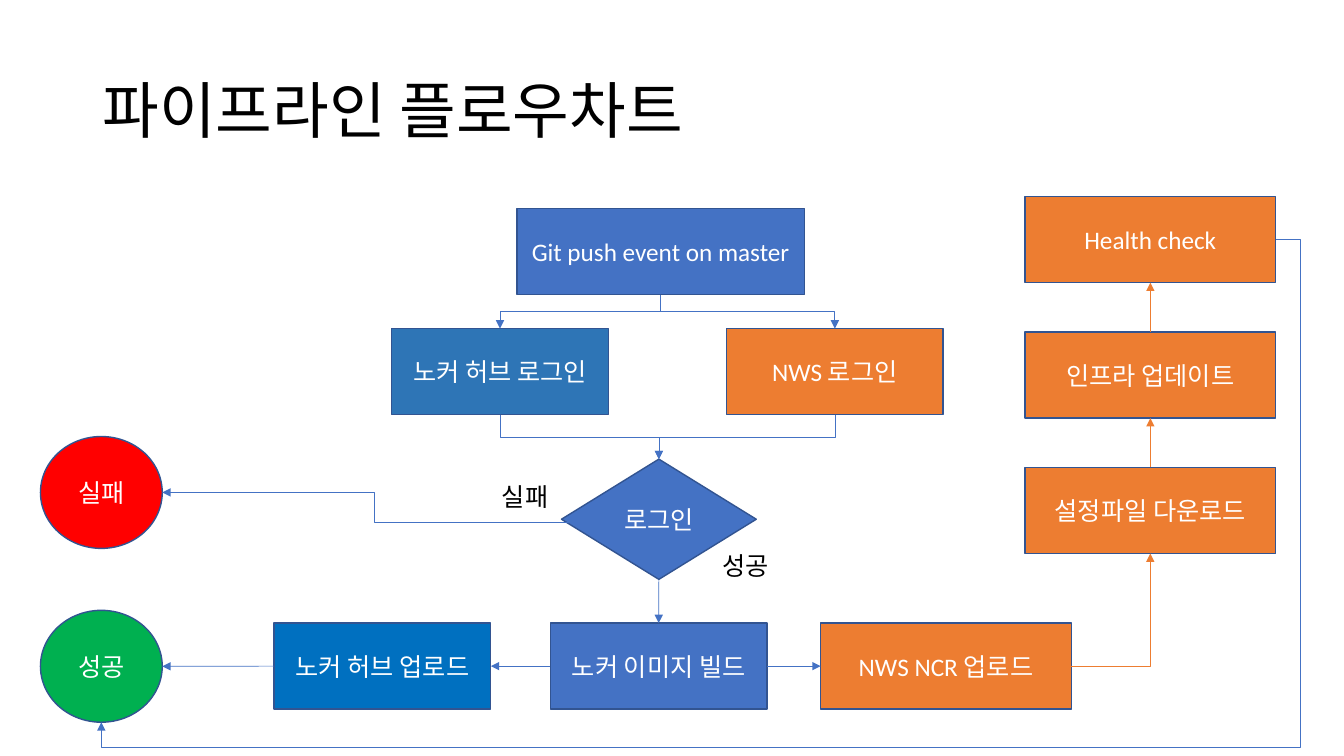
from lxml import etree
from pptx import Presentation
from pptx.dml.color import RGBColor
from pptx.enum.shapes import MSO_CONNECTOR, MSO_SHAPE
from pptx.enum.text import MSO_ANCHOR, PP_ALIGN
from pptx.oxml.ns import qn
from pptx.util import Cm, Pt

FONT = "Calibri"
BLACK = RGBColor(0x00, 0x00, 0x00)
WHITE = RGBColor(0xFF, 0xFF, 0xFF)
BLUE = RGBColor(0x44, 0x72, 0xC4)
STEEL = RGBColor(0x2E, 0x75, 0xB6)
AZURE = RGBColor(0x00, 0x70, 0xC0)
NAVY = RGBColor(0x32, 0x54, 0x91)
ORANGE = RGBColor(0xED, 0x7D, 0x31)
RED = RGBColor(0xFF, 0x00, 0x00)
GREEN = RGBColor(0x00, 0xB0, 0x50)

RECT, OVAL = MSO_SHAPE.RECTANGLE, MSO_SHAPE.OVAL
DECISION = MSO_SHAPE.FLOWCHART_DECISION
STRAIGHT, ELBOW = MSO_CONNECTOR.STRAIGHT, MSO_CONNECTOR.ELBOW
LEFT, CENTER, MIDDLE = PP_ALIGN.LEFT, PP_ALIGN.CENTER, MSO_ANCHOR.MIDDLE

STEP_H, NARROW_W, WIDE_W = 2.17, 5.46, 6.32
SIDES = {"top": (0.5, 0), "left": (0, 0.5), "bottom": (0.5, 1), "right": (1, 0.5)}


def format_text(p, size, color, align=LEFT):
    """Set the font and alignment of one paragraph."""
    p.alignment = align
    p.font.name, p.font.size, p.font.color.rgb = FONT, Pt(size), color


def add_node(slide, kind, text, fill, left, top, width, height=STEP_H):
    """Add one flowchart node with centred white text."""
    sp = slide.shapes.add_shape(kind, Cm(left), Cm(top), Cm(width), Cm(height))
    sp.shadow.inherit = False
    sp.fill.solid()
    sp.fill.fore_color.rgb = fill
    sp.line.color.rgb = NAVY
    sp.line.width = Pt(1)
    tf = sp.text_frame
    tf.word_wrap = True
    tf.vertical_anchor = MIDDLE
    tf.text = text
    format_text(tf.paragraphs[0], 18, WHITE, CENTER)
    return sp


def add_label(slide, text, left, top):
    """Add the caption of a decision branch."""
    sp = slide.shapes.add_textbox(Cm(left), Cm(top), Cm(3.07), Cm(1.02))
    tf = sp.text_frame
    tf.word_wrap = True
    tf.text = text
    format_text(tf.paragraphs[0], 18, BLACK)


def site(sp, side):
    """Return the point in the middle of one side of a shape."""
    fx, fy = SIDES[side]
    return int(sp.left + sp.width * fx), int(sp.top + sp.height * fy)


def site_index(sp, side):
    """Return the connection site number of one side of a shape."""
    index = list(SIDES).index(side)
    return index * 2 if sp.auto_shape_type == OVAL else index


def draw_arrow(slide, kind, begin, end, color=BLUE):
    """Draw a thin arrow between two points."""
    cxn = slide.shapes.add_connector(kind, *begin, *end)
    cxn.line.color.rgb = color
    cxn.line.width = Pt(0.5)
    sp_pr = cxn._element.spPr
    etree.SubElement(sp_pr.find(qn("a:ln")), qn("a:tailEnd"), type="triangle")
    etree.SubElement(sp_pr, qn("a:effectLst"))
    return cxn


def glue(cxn, source, out_side, target, in_side):
    """Attach both ends of a connector to its shapes."""
    cxn._connect_begin_to(source, site_index(source, out_side))
    cxn._connect_end_to(target, site_index(target, in_side))


def link(slide, source, out_side, target, in_side, color=BLUE):
    """Join two aligned nodes with a straight arrow."""
    cxn = draw_arrow(slide, STRAIGHT, site(source, out_side), site(target, in_side), color)
    glue(cxn, source, out_side, target, in_side)


def link_down(slide, source, target):
    """Join a node to a lower one with a down-across-down arrow."""
    (x1, y1), (x2, y2) = site(source, "bottom"), site(target, "top")
    cx, cy, dx, dy = (x1 + x2) // 2, (y1 + y2) // 2, (x2 - x1) // 2, (y2 - y1) // 2
    cxn = draw_arrow(slide, ELBOW, (cx - dy, cy + dx), (cx + dy, cy - dx))
    cxn._element.spPr.find(qn("a:xfrm")).set("rot", "5400000")
    glue(cxn, source, "bottom", target, "top")


def link_around(slide, source, target, preset, color=BLUE, adjusts=()):
    """Join a right side to a bottom side with a preset bent arrow."""
    cxn = draw_arrow(slide, ELBOW, site(source, "right"), site(target, "bottom"), color)
    geom = cxn._element.spPr.find(qn("a:prstGeom"))
    geom.set("prst", preset)
    av_lst = geom.find(qn("a:avLst"))
    for i, value in enumerate(adjusts, 1):
        etree.SubElement(av_lst, qn("a:gd"), name=f"adj{i}", fmla=f"val {value}")
    glue(cxn, source, "right", target, "bottom")


def add_title(slide, text, left, top, width, height):
    """Place and format the title placeholder."""
    sp = slide.shapes.title
    sp.left, sp.top, sp.width, sp.height = Cm(left), Cm(top), Cm(width), Cm(height)
    tf = sp.text_frame
    tf.text = text
    tf.vertical_anchor = MIDDLE
    tf.paragraphs[0].line_spacing = 0.9
    format_text(tf.paragraphs[0], 44, BLACK)


def add_login(slide, left, top, width):
    """Build the trigger, both logins and the decision, and return the decision."""
    push = add_node(slide, RECT, "Git push event on master", BLUE, left + 3.16, top, 7.24)
    check = add_node(slide, DECISION, "로그인", BLUE, left + 4.28, top + 6.31, 4.91, 3.03)
    logins = (("노커 허브 로그인", STEEL, left),
              ("NWS 로그인", ORANGE, left + width - NARROW_W))
    for text, fill, x in logins:
        login = add_node(slide, RECT, text, fill, x, top + 3.02, NARROW_W)
        link_down(slide, push, login)
        link_down(slide, login, check)
    add_label(slide, "실패", left + 2.53, top + 6.75)
    add_label(slide, "성공", left + 8.09, top + 8.48)
    return check


def add_build_row(slide, left, top, width):
    """Build the image row and return its hub, build and registry steps."""
    hub = add_node(slide, RECT, "노커 허브 업로드", AZURE, left, top, NARROW_W)
    build = add_node(slide, RECT, "노커 이미지 빌드", BLUE, left + 6.96, top, NARROW_W)
    registry = add_node(slide, RECT, "NWS NCR 업로드", ORANGE,
                        left + width - WIDE_W, top, WIDE_W)
    link(slide, build, "left", hub, "right")
    link(slide, build, "right", registry, "left")
    return hub, build, registry


def add_deploy_column(slide, left, top, height):
    """Build the upward deploy steps and return the last and first of them."""
    texts = ("Health check", "인프라 업데이트", "설정파일 다운로드")
    pitch = (height - STEP_H) / (len(texts) - 1)
    steps = [add_node(slide, RECT, text, ORANGE, left, top + i * pitch, WIDE_W)
             for i, text in enumerate(texts)]
    for upper, lower in zip(steps, steps[1:]):
        link(slide, lower, "top", upper, "bottom", ORANGE)
    return steps[0], steps[-1]


def add_results(slide, left, top, width, height):
    """Build the failure and success circles and return them."""
    size = 2.82
    return (add_node(slide, OVAL, "실패", RED, left, top, width, size),
            add_node(slide, OVAL, "성공", GREEN, left, top + height - size, width, size))


def add_pipeline_slide(prs):
    """Compose the pipeline flowchart slide."""
    slide = prs.slides.add_slide(prs.slide_layouts[5])
    add_title(slide, "파이프라인 플로우차트", 2.33, 1.01, 29.21, 3.68)
    check = add_login(slide, 9.87, 5.26, 13.9)
    hub, build, registry = add_build_row(slide, 6.91, 15.7, 20.09)
    health, config = add_deploy_column(slide, 25.83, 4.95, 9)
    failure, success = add_results(slide, 1.02, 11, 3.07, 7.2)
    draw_arrow(slide, ELBOW, (Cm(14.8), Cm(13.17)), site(failure, "right"))
    link(slide, check, "bottom", build, "top")
    link(slide, hub, "left", success, "right")
    link_around(slide, registry, config, "bentConnector2", ORANGE)
    link_around(slide, health, success, "bentConnector4", adjusts=(-2100, 105200))


def main():
    """Create and save the presentation."""
    prs = Presentation()
    prs.slide_width, prs.slide_height = Cm(33.87), Cm(19.05)
    add_pipeline_slide(prs)
    prs.save("out.pptx")


if __name__ == "__main__":
    main()
